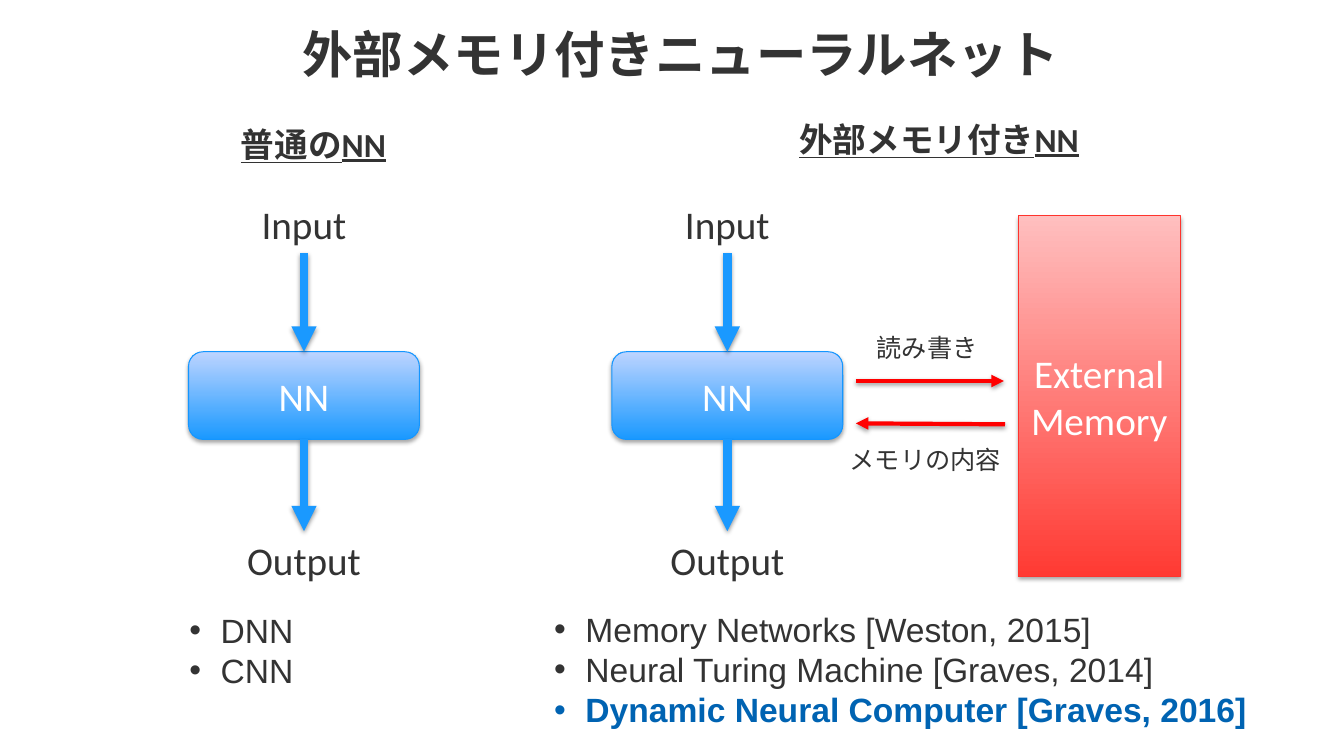
from dataclasses import dataclass, field
from typing import Any

from lxml.etree import SubElement
from pptx import Presentation
from pptx.dml.color import RGBColor
from pptx.enum.shapes import MSO_CONNECTOR as Connector, MSO_SHAPE as Preset
from pptx.enum.text import MSO_ANCHOR as Anchor, MSO_AUTO_SIZE as AutoSize, PP_ALIGN as Align
from pptx.oxml.ns import qn
from pptx.util import Emu, Inches, Pt

WIDTH, HEIGHT = Inches(13.333), Inches(7.5)
INK, WHITE, BLUE, RED, ACCENT = "333333", "FFFFFF", "1A99FF", "FF0000", "0063B2"
TOP, BOTTOM = 0, 2  # connection sites

TITLE = {"name": "Arial", "size": Pt(36), "bold": True}
HEADING = {"name": "Calibri", "size": Pt(24), "bold": True, "underline": True}
LABEL = {"name": "Calibri", "size": Pt(28)}
CAPTION = {"name": "Calibri", "size": Pt(18)}
ITEM = {"name": "Arial", "size": Pt(24)}


@dataclass
class Area:
    """A rectangle in percent of the slide's width and height."""
    left: float
    top: float
    width: float
    height: float

    def emu(self) -> tuple[Emu, Emu, Emu, Emu]:
        return across(self.left), down(self.top), across(self.width), down(self.height)


@dataclass
class Label:
    text: str
    area: Area
    style: dict[str, Any]
    align: Align = Align.CENTER
    wrap: bool = True


@dataclass
class Block:
    text: str
    area: Area
    preset: Preset
    bottom_colour: str
    top_colour: str
    line_colour: str


@dataclass
class BulletList:
    area: Area
    items: list[str]
    highlighted: list[str] = field(default_factory=list)


def across(percent: float) -> Emu:
    return Emu(round(WIDTH * percent / 100))


def down(percent: float) -> Emu:
    return Emu(round(HEIGHT * percent / 100))


def colour(value: str) -> RGBColor:
    return RGBColor.from_string(value)


def set_all(target: Any, values: dict[str, Any]) -> None:
    for name, value in values.items():
        setattr(target, name, value)


def write(paragraph: Any, text: str, style: dict[str, Any], text_colour: str = INK) -> None:
    run = paragraph.add_run()
    run.text = text
    set_all(run.font, style)
    run.font.color.rgb = colour(text_colour)


def add_shadow(shape: Any, opacity: int, distance: int) -> None:
    properties = shape._element.spPr
    effects = properties.find(qn("a:effectLst"))
    if effects is None:
        effects = SubElement(properties, qn("a:effectLst"))
    shadow = SubElement(effects, qn("a:outerShdw"), blurRad="40000", dist=str(distance),
                        dir="5400000", rotWithShape="0")
    black = SubElement(shadow, qn("a:srgbClr"), val="000000")
    SubElement(black, qn("a:alpha"), val=str(opacity * 1000))


def add_label(slide: Any, label: Label) -> Any:
    box = slide.shapes.add_textbox(*label.area.emu())
    set_all(box.text_frame, {"word_wrap": label.wrap, "auto_size": AutoSize.SHAPE_TO_FIT_TEXT})
    paragraph = box.text_frame.paragraphs[0]
    paragraph.alignment = label.align
    write(paragraph, label.text, label.style)
    return box


def add_block(slide: Any, block: Block) -> Any:
    shape = slide.shapes.add_shape(block.preset, *block.area.emu())
    shape.fill.gradient()
    shape.fill.gradient_angle = 90
    for stop, value in zip(shape.fill.gradient_stops, (block.bottom_colour, block.top_colour)):
        stop.color.rgb = colour(value)
    shape.line.color.rgb = colour(block.line_colour)
    shape.line.width = Pt(0.75)
    shape.shadow.inherit = False
    add_shadow(shape, 35, 23000)
    set_all(shape.text_frame, {"word_wrap": True, "vertical_anchor": Anchor.MIDDLE})
    paragraph = shape.text_frame.paragraphs[0]
    paragraph.alignment = Align.CENTER
    write(paragraph, block.text, LABEL, WHITE)
    return shape


def add_arrow(slide: Any, start: tuple[float, float], end: tuple[float, float],
              line_colour: str, points: float) -> Any:
    arrow = slide.shapes.add_connector(Connector.STRAIGHT, across(start[0]), down(start[1]),
                                       across(end[0]), down(end[1]))
    arrow.line.color.rgb = colour(line_colour)
    arrow.line.width = Pt(points)
    SubElement(arrow.line._get_or_add_ln(), qn("a:tailEnd"), type="triangle")
    add_shadow(arrow, 38, 20000)
    return arrow


def add_network(slide: Any, left: float) -> None:
    """Draw the column Input, NN, Output with its two arrows."""
    width = 17.18
    network = add_block(slide, Block("NN", Area(left, 46.53, width, 11.6),
                                     Preset.ROUNDED_RECTANGLE, BLUE, "BDD4FF", "1496FF"))
    source, result = (add_label(slide, Label(text, Area(left, top, width, 7.6), LABEL))
                      for text, top in (("Input", 25.87), ("Output", 70.27)))
    for upper, lower in ((source, network), (network, result)):
        arrow = add_arrow(slide, (0, 0), (0, 0), BLUE, 6)
        arrow.begin_connect(upper, BOTTOM)
        arrow.end_connect(lower, TOP)


def add_bullets(slide: Any, bullets: BulletList) -> None:
    frame = slide.shapes.add_textbox(*bullets.area.emu()).text_frame
    set_all(frame, {"word_wrap": True, "auto_size": AutoSize.SHAPE_TO_FIT_TEXT})
    indent = Inches(0.31)
    entries = [(text, ITEM, INK) for text in bullets.items]
    entries += [(text, ITEM | {"bold": True}, ACCENT) for text in bullets.highlighted]
    for index, entry in enumerate(entries):
        paragraph = frame.add_paragraph() if index else frame.paragraphs[0]
        properties = paragraph._p.get_or_add_pPr()
        properties.set("marL", str(indent))
        properties.set("indent", str(-indent))
        SubElement(properties, qn("a:buFont"), typeface="Arial")
        SubElement(properties, qn("a:buChar"), char="•")
        write(paragraph, *entry)


NETWORK_LEFTS = (14.03, 45.53)
MEMORY = Block("External Memory", Area(75.75, 28.53, 12.08, 47.73), Preset.RECTANGLE,
               "FF3A33", "FFBFBF", "FE342D")
MEMORY_ARROWS = (((63.68, 50.4), (74.7, 50.4)), ((74.78, 56.13), (63.68, 56)))
LABELS = (
    Label("普通のNN", Area(16.95, 15.73, 12.75, 6.67), HEADING, wrap=False),
    Label("外部メモリ付きNN", Area(58.43, 15.07, 22.88, 6.67), HEADING, wrap=False),
    Label("読み書き", Area(64.5, 43.33, 9.08, 5.33), CAPTION, Align.LEFT, False),
    Label("メモリの内容", Area(62.48, 58.13, 12.9, 5.33), CAPTION, Align.LEFT, False),
)
LISTS = (
    BulletList(Area(13.35, 80, 19.95, 12.13), ["DNN", "CNN"]),
    BulletList(Area(40.5, 79.87, 58.65, 17.47),
               ["Memory Networks [Weston, 2015]", "Neural Turing Machine [Graves, 2014]"],
               ["Dynamic Neural Computer [Graves, 2016]"]),
)


def main() -> None:
    presentation = Presentation()
    set_all(presentation, {"slide_width": WIDTH, "slide_height": HEIGHT})
    slide = presentation.slides.add_slide(presentation.slide_layouts[6])
    title = add_label(slide, Label("外部メモリ付きニューラルネット",
                                   Area(2.85, 1.73, 95.55, 10.67), TITLE))
    set_all(title.text_frame, {"auto_size": AutoSize.NONE, "vertical_anchor": Anchor.MIDDLE})
    for left in NETWORK_LEFTS:
        add_network(slide, left)
    add_block(slide, MEMORY)
    for start, end in MEMORY_ARROWS:
        add_arrow(slide, start, end, RED, 3)
    for label in LABELS:
        add_label(slide, label)
    for bullets in LISTS:
        add_bullets(slide, bullets)
    presentation.save("out.pptx")


if __name__ == "__main__":
    main()
